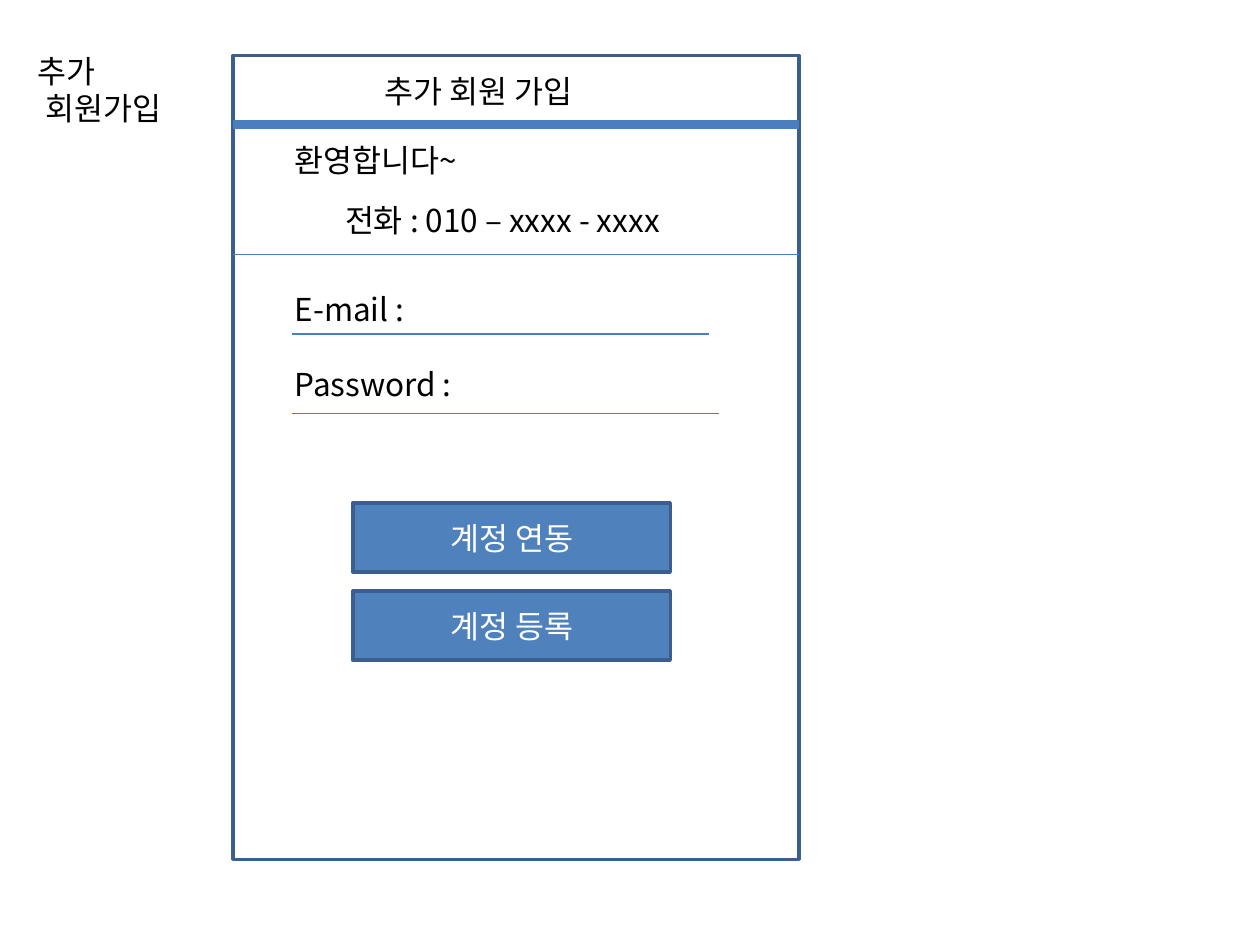
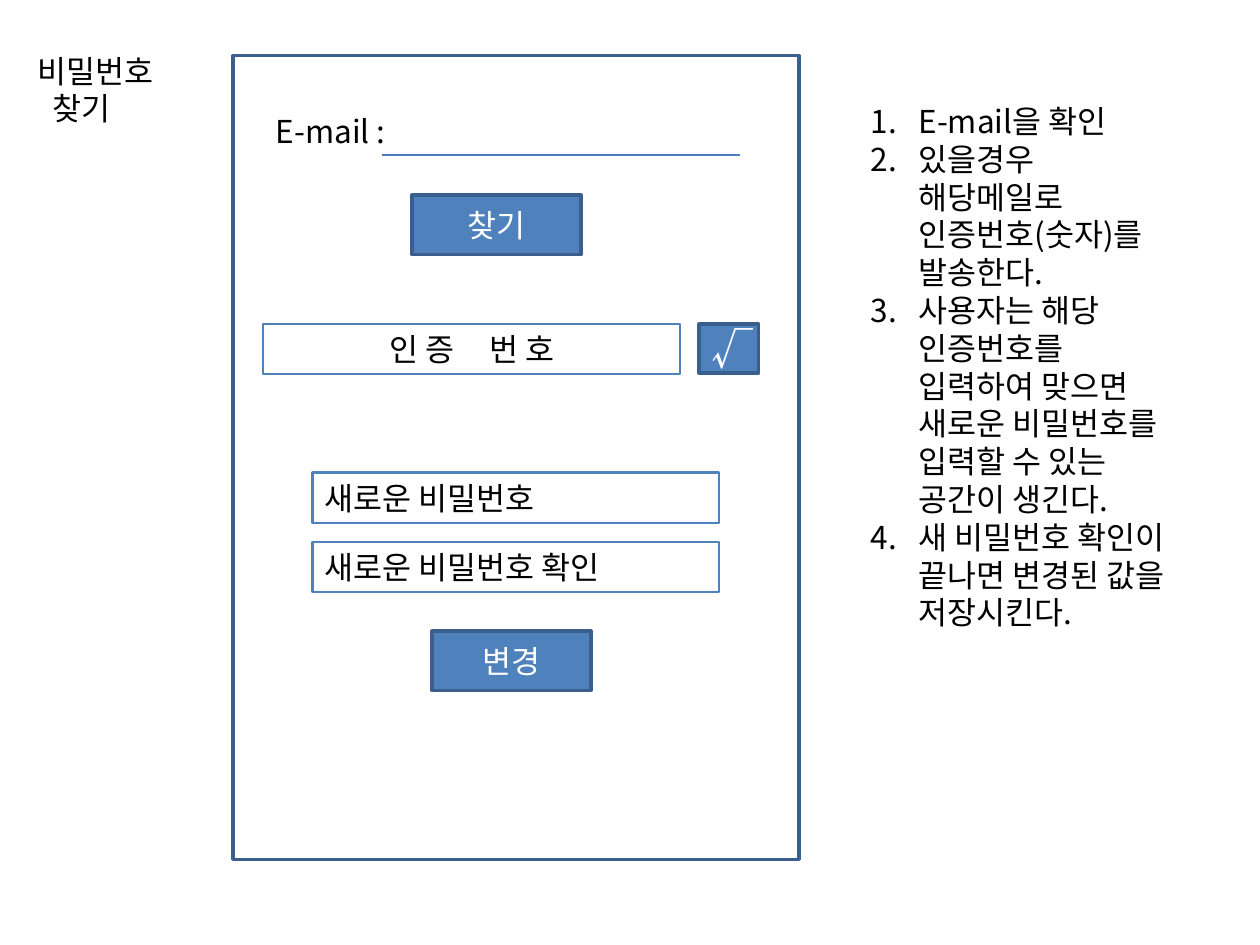
"""Build two wireframe slides: additional sign-up and password recovery."""
import dataclasses

import lxml.etree
import pptx
import pptx.dml.color
import pptx.enum.shapes
import pptx.enum.text
import pptx.oxml.ns
import pptx.util

ALIGN = pptx.enum.text.PP_ALIGN
ANCHOR = pptx.enum.text.MSO_ANCHOR
RECTANGLE = pptx.enum.shapes.MSO_SHAPE.RECTANGLE


@dataclasses.dataclass(frozen=True)
class Theme:
    """Colours, type sizes and line weights in one place."""
    font: str = "Noto Sans CJK KR"
    ink: str = "000000"
    paper: str = "FFFFFF"
    accent: str = "4F81BD"
    border: str = "3A5F8C"
    rule: str = "4B7EBC"
    body_size: float = 18
    symbol_size: float = 24
    leading: float = 1.2
    border_width: float = 2
    field_width: float = 1.25
    hairline: float = 0.75
    band: float = 5


class Wireframe:
    """Draw wireframe elements on a grid of 100 columns by 75 rows."""

    COLUMNS, ROWS = 100, 75
    LEFT, TOP, WIDTH, HEIGHT = 18.5, 4.4, 44.9, 63.8
    RIGHT = LEFT + WIDTH

    def __init__(self, deck, theme):
        """Keep the deck, the theme and the size of a grid cell."""
        self.deck, self.theme, self.slide = deck, theme, None
        self.column = deck.slide_width / self.COLUMNS
        self.row = deck.slide_height / self.ROWS

    def x(self, columns):
        """Turn columns into a length."""
        return pptx.util.Emu(round(columns * self.column))

    def y(self, rows):
        """Turn rows into a length."""
        return pptx.util.Emu(round(rows * self.row))

    def box(self, left, top, width, height):
        """Turn a grid box into lengths."""
        return self.x(left), self.y(top), self.x(width), self.y(height)

    def color(self, value):
        """Turn a hex value into a colour."""
        return pptx.dml.color.RGBColor.from_string(value)

    def format(self, frame, color=None, size=None, align=ALIGN.LEFT, anchor=ANCHOR.TOP):
        """Give every paragraph and run of a frame the theme's type."""
        size = size or self.theme.body_size
        frame.word_wrap = True
        frame.auto_size = pptx.enum.text.MSO_AUTO_SIZE.NONE
        frame.vertical_anchor = anchor
        for paragraph in frame.paragraphs:
            paragraph.alignment = align
            paragraph.space_before = pptx.util.Pt(0)
            paragraph.line_spacing = pptx.util.Pt(size * self.theme.leading)
            for run in paragraph.runs:
                run.font.size = pptx.util.Pt(size)
                run.font.name = self.theme.font
                run.font.color.rgb = self.color(color or self.theme.ink)
                east_asian = lxml.etree.SubElement(
                    run.font._element, pptx.oxml.ns.qn("a:ea"))
                east_asian.set("typeface", self.theme.font)

    def place(self, holder, left, top, width, height):
        """Move a placeholder to a grid box."""
        holder.left, holder.top, holder.width, holder.height = self.box(
            left, top, width, height)

    def screen(self, layout, title, indent):
        """Start a slide with its title and the outline of the phone screen."""
        self.slide = self.deck.slides.add_slide(self.deck.slide_layouts[layout])
        heading = self.slide.shapes.title
        self.place(heading, 2, 3.6, 51.2, 7.1)
        heading.text_frame.text = title
        self.format(heading.text_frame)
        second_line = heading.text_frame.paragraphs[1]._p.get_or_add_pPr()
        second_line.set("marL", str(self.x(indent)))
        self.panel(self.LEFT, self.TOP, self.WIDTH, self.HEIGHT,
                   self.theme.border, self.theme.border_width)

    def panel(self, left, top, width, height, line, weight, fill=None):
        """Draw a rectangle, hollow unless a fill is given."""
        panel = self.slide.shapes.add_shape(
            RECTANGLE, *self.box(left, top, width, height))
        panel.shadow.inherit = False
        if fill:
            panel.fill.solid()
            panel.fill.fore_color.rgb = self.color(fill)
        else:
            panel.fill.background()
        panel.line.color.rgb = self.color(line)
        panel.line.width = pptx.util.Pt(weight)
        return panel

    def button(self, caption, left, top, width, height, size=None):
        """Draw a filled button with a centred caption."""
        button = self.panel(left, top, width, height, self.theme.border,
                            self.theme.border_width, self.theme.accent)
        button.text_frame.text = caption
        self.format(button.text_frame, self.theme.paper, size,
                    ALIGN.CENTER, ANCHOR.MIDDLE)

    def field(self, hint, left, top, width, align=ALIGN.LEFT):
        """Draw an outlined input field with its hint."""
        field = self.panel(left, top, width, 4, self.theme.accent,
                           self.theme.field_width)
        field.text_frame.text = hint
        self.format(field.text_frame, align=align)
        return field.text_frame.paragraphs[0]

    def label(self, text, left, top, width, height=4, gap=0):
        """Write plain text, with a gap in points between its paragraphs."""
        label = self.slide.shapes.add_textbox(*self.box(left, top, width, height))
        label.text_frame.text = text
        self.format(label.text_frame)
        for paragraph in label.text_frame.paragraphs[1:]:
            paragraph.space_before = pptx.util.Pt(gap)

    def rule(self, left, right, level, weight=None):
        """Draw a horizontal line."""
        rule = self.slide.shapes.add_connector(
            pptx.enum.shapes.MSO_CONNECTOR.STRAIGHT,
            self.x(left), self.y(level), self.x(right), self.y(level))
        rule.line.color.rgb = self.color(self.theme.rule)
        rule.line.width = pptx.util.Pt(weight or self.theme.hairline)
        lxml.etree.SubElement(rule._element.spPr, pptx.oxml.ns.qn("a:effectLst"))

    def steps(self, lines, left, top, width, height, hang):
        """Write a numbered list in the body placeholder."""
        body = self.slide.placeholders[1]
        self.place(body, left, top, width, height)
        body.text_frame.text = "\n".join(lines)
        self.format(body.text_frame)
        for paragraph in body.text_frame.paragraphs:
            properties = paragraph._p.get_or_add_pPr()
            properties.set("marL", str(self.x(hang)))
            properties.set("indent", str(-self.x(hang)))
            number = lxml.etree.SubElement(properties, pptx.oxml.ns.qn("a:buAutoNum"))
            number.set("type", "arabicPeriod")


def sign_up(page):
    """Draw the additional sign-up screen."""
    page.screen(5, "추가\n회원가입", 0.6)
    page.label("추가 회원 가입", 29.5, 5.2, 32.3)
    page.rule(page.LEFT, page.RIGHT, 9.9, page.theme.band)
    page.label("환영합니다~", 22.4, 10.7, 77.6)
    page.label("전화 : 010 – xxxx - xxxx", 26.4, 15.5, 73.6)
    page.rule(page.LEFT, page.RIGHT, 20.2)
    page.label("E-mail :\nPassword :", 22.4, 22.5, 18.9, 10.1,
               gap=page.theme.body_size * page.theme.leading)
    page.rule(23.2, 56.3, 26.5)
    page.rule(23.2, 57.1, 32.8)
    for index, caption in enumerate(("계정 연동", "계정 등록")):
        page.button(caption, 28, 39.9 + 7 * index, 25.2, 5.5)


def password_recovery(page):
    """Draw the password recovery screen and its steps."""
    page.screen(1, "비밀번호\n찾기", 1.2)
    page.label("E-mail :", 20.9, 8.4, 68.5)
    page.rule(30.3, 58.7, 12.3)
    page.button("찾기", 32.7, 15.5, 13.4, 4.7)
    page.steps((
        "E-mail을 확인",
        "있을경우 해당메일로 인증번호(숫자)를 발송한다.",
        "사용자는 해당 인증번호를 입력하여 맞으면 새로운 비밀번호를 "
        "입력할 수 있는 공간이 생긴다.",
        "새 비밀번호 확인이 끝나면 변경된 값을 저장시킨다.",
    ), 68.1, 7.6, 26, 40.4, 3.8)
    code_hint = page.field("인 증", 20.9, 25.7, 33.1, ALIGN.CENTER)
    for part in (" ", "번 호"):
        code_hint.add_run().text = part
    page.format(code_hint._parent, align=ALIGN.CENTER)
    code_hint.runs[1].font._element.set("spc", "1600")
    page.button("√", 55.5, 25.7, 4.7, 3.9, page.theme.symbol_size)
    for index, hint in enumerate(("새로운 비밀번호", "새로운 비밀번호 확인")):
        page.field(hint, 24.8, 37.5 + 5.5 * index, 32.3)
    page.button("변경", 34.3, 50.1, 12.6, 4.7)


def main():
    """Build and save the deck."""
    deck = pptx.Presentation()
    deck.slide_width = pptx.util.Inches(10)
    deck.slide_height = pptx.util.Inches(7.5)
    page = Wireframe(deck, Theme())
    sign_up(page)
    password_recovery(page)
    deck.save("out.pptx")


main()
